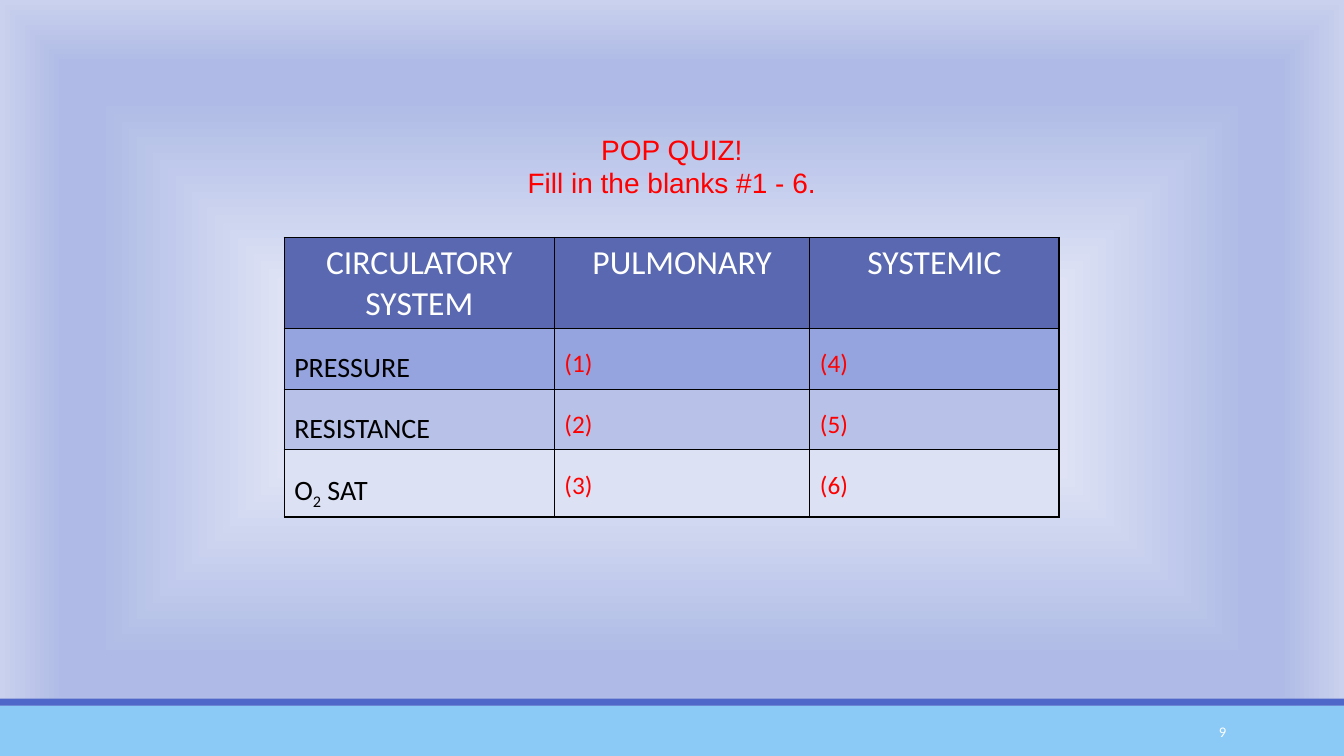
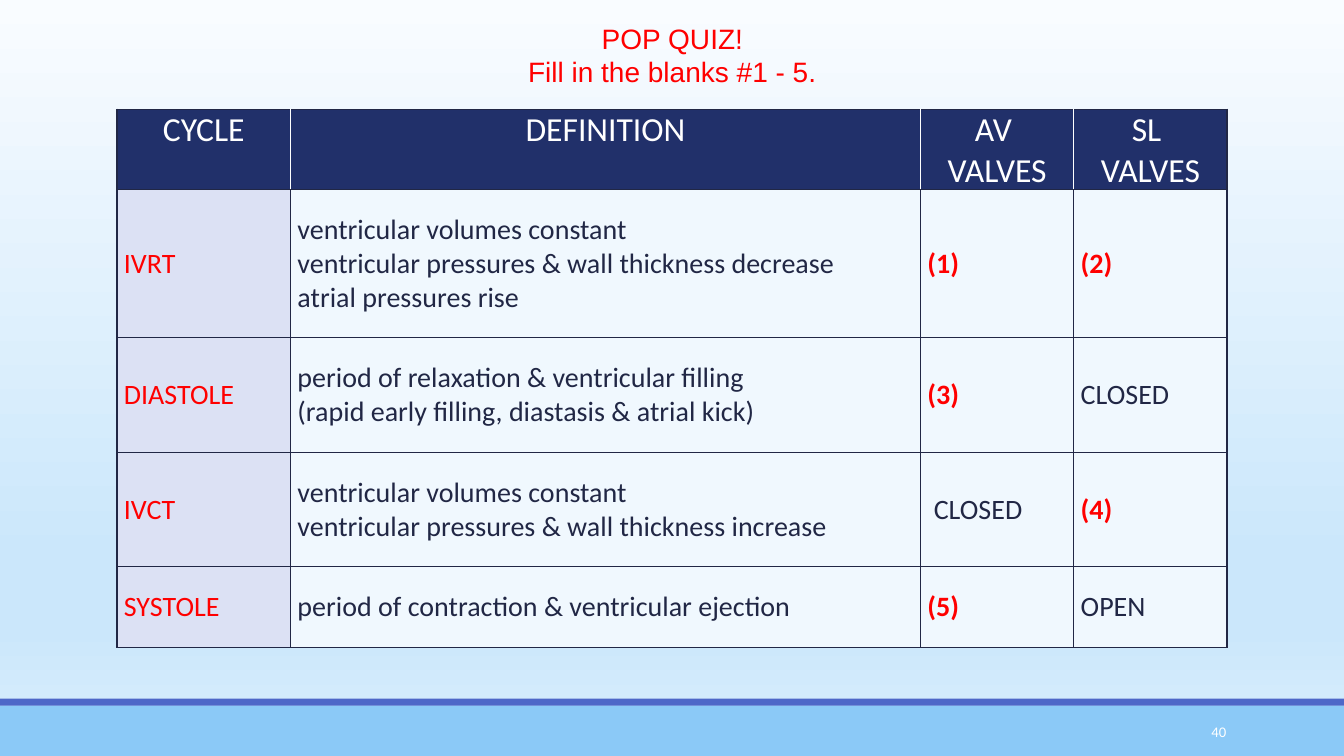
"""Build two pop-quiz slides on the circulatory system and the cardiac cycle."""
from dataclasses import dataclass

from pptx import Presentation
from pptx import oxml
from pptx import util as u
from pptx.dml import color
from pptx.enum import shapes, text
from pptx.oxml import ns

Pt = u.Pt


@dataclass(frozen=True)
class Theme:
    """Colours, fonts and type sizes shared by the slides."""
    width: float = 960
    height: float = 540
    title_font: str = "Arial"
    body_font: str = "Calibri"
    title_size: float = 20
    head_size: float = 24
    body_size: float = 20
    number_size: float = 10.5
    quiz: str = "FF0000"
    white: str = "FFFFFF"
    black: str = "000000"
    navy: str = "212745"
    footer: str = "8BC9F7"
    stripe: str = "4E67C8"
    pale: str = "DCE1F4"
    ice: str = "F0F8FE"


THEME = Theme()
MIDDLE, TOP = text.MSO_ANCHOR.MIDDLE, text.MSO_ANCHOR.TOP
CENTER, LEFT, RIGHT = text.PP_ALIGN.CENTER, text.PP_ALIGN.LEFT, text.PP_ALIGN.RIGHT
BANDS = [(504, 36, THEME.footer), (499, 5, THEME.stripe)]

SLIDES = [
    {
        "number": "9",
        "title": ["POP QUIZ!", "Fill in the blanks #1 - 6."],
        "title_box": (230.4, 90.7, 499, 55.4),
        "stops": [(0, "F6F7FC"), (74, "AFBBE6"), (83, "AFBBE6"), (100, "CAD1EE")],
        "shade": '<a:path path="rect"><a:fillToRect l="50000" t="50000" r="50000" b="50000"/></a:path>',
        "corner": (203, 169.7),
        "columns": [193, 182.5, 178],
        "heights": [65, 43, 43.2, 48],
        "rows": [
            [["CIRCULATORY SYSTEM"], ["PULMONARY"], ["SYSTEMIC"]],
            [["PRESSURE"], ["(1)"], ["(4)"]],
            [["RESISTANCE"], ["(2)"], ["(5)"]],
            [[("O", "2", " SAT")], ["(3)"], ["(6)"]],
        ],
        "fills": [["5968B0"], ["95A4DE"], ["B8C2E9"], [THEME.pale]],
        "label": THEME.black,
        "ink": THEME.black,
        "border": THEME.black,
        "divider": THEME.black,
        "margins": (7.2, 3.6),
        "anchor": TOP,
        "spacing": 1.5,
        "blank": {"size": 18},
    },
    {
        "number": "40",
        "title": ["POP QUIZ!", "Fill in the blanks #1 - 5."],
        "title_box": (353.5, 11.5, 253.5, 55.4),
        "stops": [(0, "F9FCFF"), (74, "CBE7FB"), (83, "CBE7FB"), (100, "DCEFFD")],
        "shade": '<a:lin ang="5400000" scaled="0"/>',
        "corner": (83.5, 78),
        "columns": [124, 450, 109.5, 109.5],
        "heights": [57.2, 105.6, 82, 81.6, 57.8],
        "rows": [
            [["CYCLE"], ["DEFINITION"], ["AV ", "VALVES"], ["SL ", "VALVES"]],
            [["IVRT"],
             ["ventricular volumes constant",
              "ventricular pressures & wall thickness decrease",
              "atrial pressures rise"],
             ["(1)"], ["(2)"]],
            [["DIASTOLE"],
             ["period of relaxation & ventricular filling",
              "(rapid early filling, diastasis & atrial kick)"],
             ["(3)"], ["CLOSED"]],
            [["IVCT"],
             ["ventricular volumes constant",
              "ventricular pressures & wall thickness increase"],
             [" CLOSED"], ["(4)"]],
            [["SYSTOLE"], ["period of contraction & ventricular ejection"],
             ["(5)"], ["OPEN"]],
        ],
        "fills": [["21306A"]] + [[THEME.pale, THEME.ice]] * 4,
        "label": THEME.quiz,
        "ink": THEME.navy,
        "border": THEME.navy,
        "divider": THEME.white,
        "margins": (5, 0),
        "anchor": MIDDLE,
        "spacing": None,
        "blank": {"bold": True},
    },
]


def rgb(value):
    """Turn a hex string into a colour."""
    return color.RGBColor.from_string(value)


def write(frame, paragraphs, *, size, ink, font=THEME.body_font, bold=False,
          align=LEFT, spacing=None):
    """Fill a text frame; in a tuple of spans every second one is a subscript."""
    frame.word_wrap = True
    for index, spans in enumerate(paragraphs):
        para = frame.paragraphs[0] if index == 0 else frame.add_paragraph()
        para.alignment = align
        if spacing:
            para.line_spacing = spacing
        for place, words in enumerate((spans,) if isinstance(spans, str) else spans):
            span = para.add_run()
            span.text = words
            span.font.name, span.font.size, span.font.bold = font, Pt(size), bold
            span.font.color.rgb = rgb(ink)
            if place % 2:
                span._r.get_or_add_rPr().set("baseline", "-25000")


def paint_background(page, stops, shade):
    """Give the page a gradient with the given stops and direction."""
    page.background.fill.gradient()
    plain = page.element.find(".//" + ns.qn("a:gradFill"))
    marks = "".join(f'<a:gs pos="{place * 1000}"><a:srgbClr val="{tint}"/></a:gs>'
                    for place, tint in stops)
    gradient = oxml.parse_xml(f'<a:gradFill {ns.nsdecls("a")} rotWithShape="1">'
                              f"<a:gsLst>{marks}</a:gsLst>{shade}</a:gradFill>")
    plain.getparent().replace(plain, gradient)


def add_footer(page, number):
    """Draw the two bottom bands and the page number."""
    for top, height, tint in BANDS:
        band = page.shapes.add_shape(shapes.MSO_SHAPE.RECTANGLE, 0, Pt(top),
                                     Pt(THEME.width), Pt(height))
        band.shadow.inherit = False
        band.fill.solid()
        band.fill.fore_color.rgb = rgb(tint)
        band.line.fill.background()
    box = page.shapes.add_textbox(Pt(780), Pt(508.3), Pt(103), Pt(28.8))
    box.text_frame.vertical_anchor = MIDDLE
    write(box.text_frame, [number], size=THEME.number_size, ink=THEME.white, align=RIGHT)


def add_title(page, paragraphs, bounds):
    """Move the title placeholder and fill it."""
    title = page.shapes.title
    title.left, title.top, title.width, title.height = map(Pt, bounds)
    title.text_frame.auto_size = text.MSO_AUTO_SIZE.NONE
    title.text_frame.vertical_anchor = TOP
    write(title.text_frame, paragraphs, size=THEME.title_size, ink=THEME.quiz,
          font=THEME.title_font, align=CENTER)


def set_borders(cell, tints):
    """Draw one-point borders in the order left, right, top, bottom."""
    properties = cell._tc.get_or_add_tcPr()
    for index, (side, tint) in enumerate(zip("LRTB", tints)):
        properties.insert(index, oxml.parse_xml(
            f'<a:ln{side} {ns.nsdecls("a")} w="12700"><a:solidFill>'
            f'<a:srgbClr val="{tint}"/></a:solidFill></a:ln{side}>'))


def cell_format(data, row, column, words):
    """Choose the text format for a header, label, blank or plain cell."""
    if row == 0:
        return {"size": THEME.head_size, "ink": THEME.white, "align": CENTER}
    style = {"size": THEME.body_size, "ink": data["ink"], "spacing": data["spacing"]}
    if column == 0:
        style["ink"] = data["label"]
    elif words[0][1:2].isdigit():
        style.update(data["blank"], ink=THEME.quiz)
    return style


def add_quiz_table(page, data):
    """Build the quiz table."""
    columns, heights = data["columns"], data["heights"]
    left, top = data["corner"]
    table = page.shapes.add_table(len(heights), len(columns), Pt(left), Pt(top),
                                  Pt(sum(columns)), Pt(sum(heights))).table
    table.first_row = table.horz_banding = False
    for column, width in zip(table.columns, columns):
        column.width = Pt(width)
    side, edge = map(Pt, data["margins"])
    last = len(columns) - 1
    for row, height in enumerate(heights):
        table.rows[row].height = Pt(height)
        fills = data["fills"][row]
        inner = data["divider"] if row == 0 else data["border"]
        for column, words in enumerate(data["rows"][row]):
            cell = table.cell(row, column)
            cell.margin_left = cell.margin_right = side
            cell.margin_top = cell.margin_bottom = edge
            cell.vertical_anchor = data["anchor"] if row else TOP
            cell.fill.solid()
            cell.fill.fore_color.rgb = rgb(fills[min(column, len(fills) - 1)])
            outer = data["border"]
            set_borders(cell, (inner if column else outer,
                               inner if column < last else outer, outer, outer))
            write(cell.text_frame, words, **cell_format(data, row, column, words))


def main():
    """Build and save the deck."""
    deck = Presentation()
    deck.slide_width, deck.slide_height = Pt(THEME.width), Pt(THEME.height)
    for data in SLIDES:
        page = deck.slides.add_slide(deck.slide_layouts.get_by_name("Title Only"))
        paint_background(page, data["stops"], data["shade"])
        add_footer(page, data["number"])
        add_title(page, data["title"], data["title_box"])
        add_quiz_table(page, data)
    deck.save("out.pptx")


if __name__ == "__main__":
    main()
